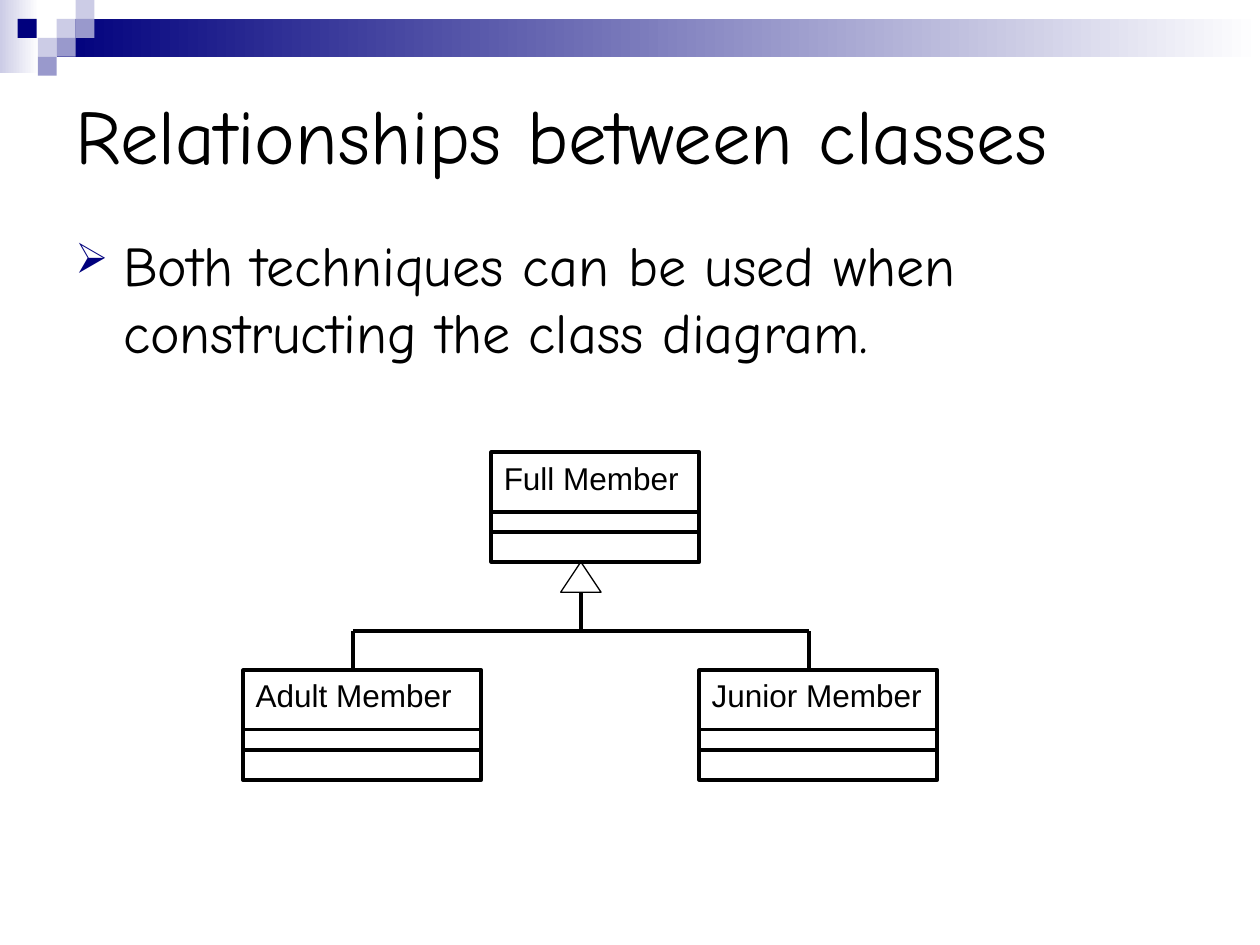
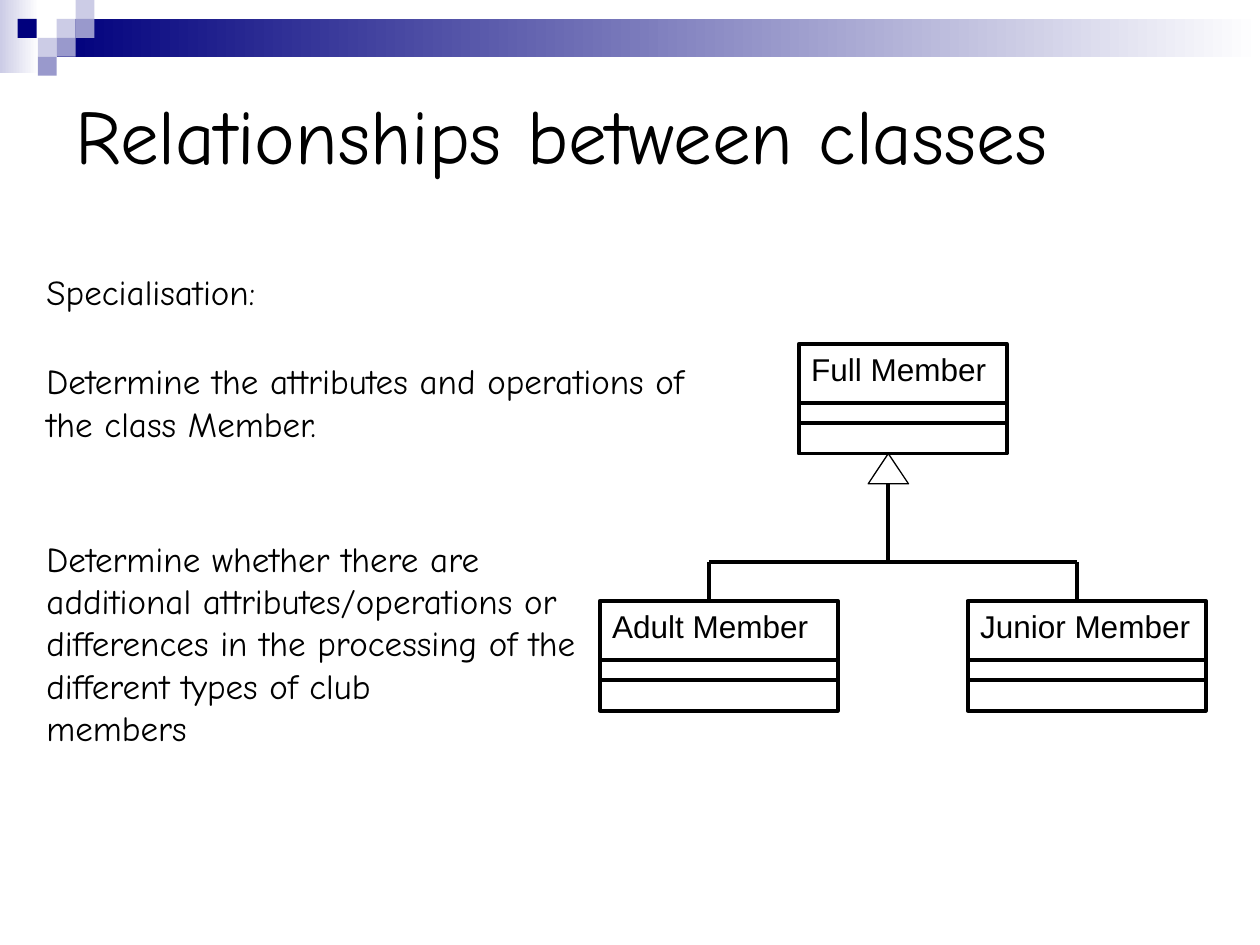
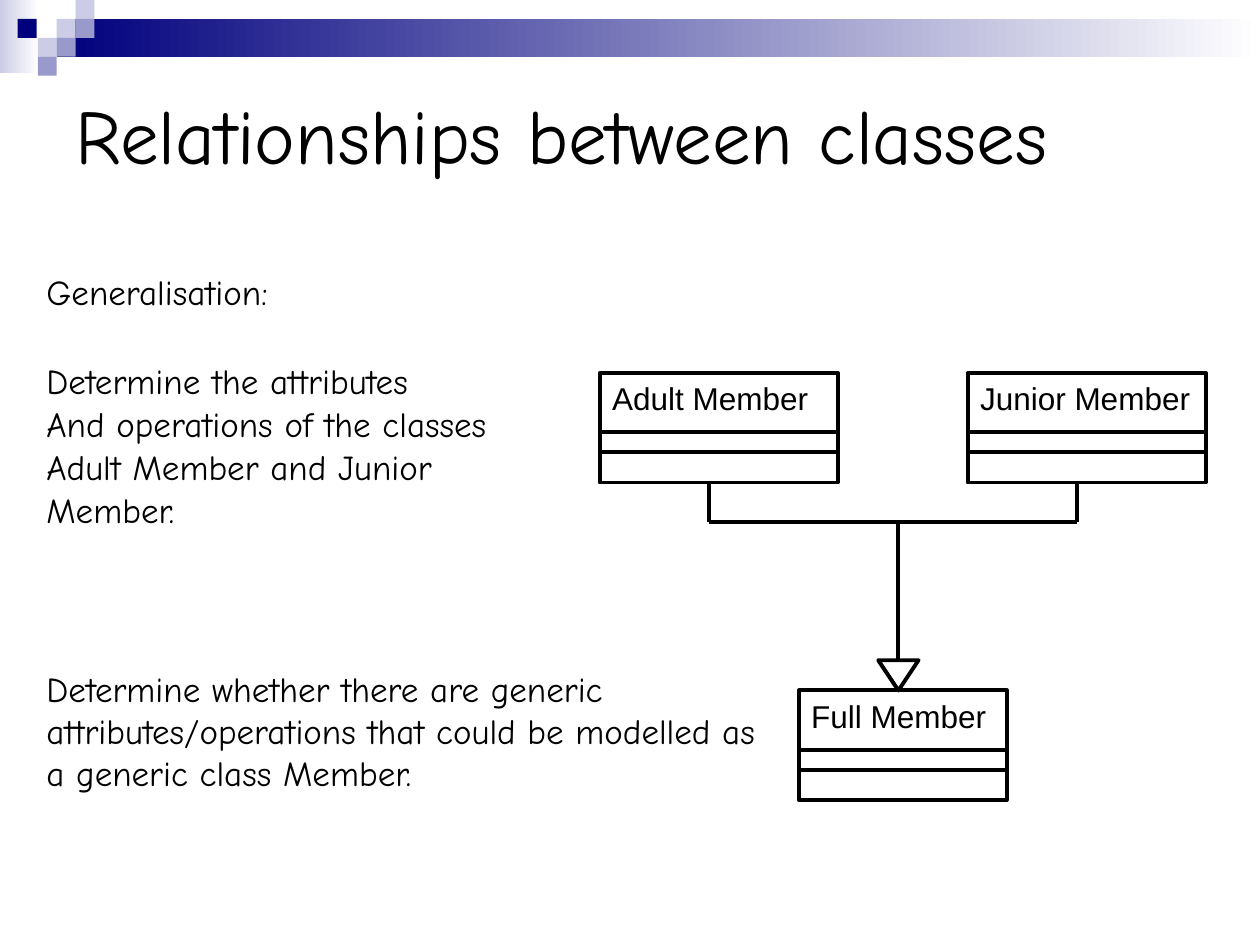
"""Build three slides on specialisation and generalisation between classes."""
from lxml import etree
from pptx import Presentation
from pptx.dml.color import RGBColor
from pptx.enum.shapes import MSO_CONNECTOR, MSO_SHAPE
from pptx.enum.text import MSO_ANCHOR
from pptx.oxml.ns import qn
from pptx.util import Inches, Pt

RECTANGLE = MSO_SHAPE.RECTANGLE
TRIANGLE = MSO_SHAPE.ISOSCELES_TRIANGLE
STRAIGHT = MSO_CONNECTOR.STRAIGHT
MIDDLE = MSO_ANCHOR.MIDDLE
TOP = MSO_ANCHOR.TOP

COLORS = {"ink": "000000", "navy": "00007D", "lilac": "9999CC",
          "pale": "CCCCE6", "white": "FFFFFF"}
HAND_FONT = "Comic Neue"
LABEL_FONT = "Arial"
TITLE = "Relationships between classes"
LINE_WIDTH = 2.24
SQUARE = 0.15
BOX_HEIGHT = 0.87
DIVIDERS = (0.47, 0.63)
STUB_OFFSET = 0.87
PARENT_WIDTH, CHILD_WIDTH = 1.65, 1.89
ARROW_WIDTH, ARROW_HEIGHT = 0.32, 0.24
SECTION_GAP, LINE_GAP = 37, 0.5

GRADIENTS = [(0, 0, 0.31, 0.58, "pale"), (0.45, 0.15, 9.55, 0.3, "navy")]
SQUARES = [(0.45, 0.15, "pale"), (0.6, 0, "pale"), (0.6, 0.15, "lilac"),
           (0.3, 0.3, "pale"), (0.14, 0.15, "navy"), (0.45, 0.3, "lilac"),
           (0.3, 0.45, "lilac")]

SLIDES = [
    {"parent": (3.9, 3.59), "children": (1.93, 5.55), "child_top": 5.32,
     "bus": 5.01, "arrow": 4.61, "arrow_line": 0.74, "notes": []},
    {"parent": (6.34, 2.73), "children": (4.76, 7.68), "child_top": 4.77,
     "bus": 4.46, "arrow": 7.05, "arrow_line": 0.74,
     "notes": [
         (2.1, 6.3, 1.46, ["Specialisation:",
                           "Determine the attributes and operations of",
                           "the class Member."]),
         (4.22, 4.49, 2.28, ["Determine whether there are additional "
                             "attributes/operations or differences in the "
                             "processing of the different types of club",
                             "members"])]},
    {"parent": (6.34, 5.48), "children": (4.76, 7.68), "child_top": 2.96,
     "bus": 4.14, "arrow": 7.13, "arrow_line": LINE_WIDTH,
     "notes": [
         (2.1, 4.1, 2.14, ["Generalisation:", "Determine the attributes",
                           "And operations of the classes",
                           "Adult Member and Junior", "Member."]),
         (5.25, 5.99, 1.1, ["Determine whether there are generic "
                            "attributes/operations that could be modelled as "
                            "a generic class Member."])]},
]


def add_text(slide, left, top, width, height, lines, size, font, anchor=TOP):
    box = slide.shapes.add_textbox(Inches(left), Inches(top), Inches(width), Inches(height))
    frame = box.text_frame
    frame.word_wrap = True
    frame.vertical_anchor = anchor
    frame.text = "\n".join(lines)
    for paragraph in frame.paragraphs:
        for run in paragraph.runs:
            run.font.size = Pt(size)
            run.font.name = font
            run.font.color.rgb = RGBColor.from_string(COLORS["ink"])
    return frame.paragraphs


def add_line(slide, x1, y1, x2, y2):
    line = slide.shapes.add_connector(STRAIGHT, Inches(x1), Inches(y1), Inches(x2), Inches(y2))
    line.line.color.rgb = RGBColor.from_string(COLORS["ink"])
    line.line.width = Pt(LINE_WIDTH)
    etree.SubElement(line._element.spPr, qn("a:effectLst"))


presentation = Presentation()
presentation.slide_width = Inches(10)
presentation.slide_height = Inches(7.5)

for content in SLIDES:
    slide = presentation.slides.add_slide(presentation.slide_layouts[6])

    for left, top, width, height, color in GRADIENTS:
        band = slide.shapes.add_shape(RECTANGLE, Inches(left), Inches(top),
                                      Inches(width), Inches(height))
        band.shadow.inherit = False
        band.line.fill.background()
        band.fill.gradient()
        band.fill.gradient_angle = 0
        for stop, name in zip(band.fill.gradient_stops, (color, "white")):
            stop.color.rgb = RGBColor.from_string(COLORS[name])

    for left, top, color in SQUARES:
        square = slide.shapes.add_shape(RECTANGLE, Inches(left), Inches(top),
                                        Inches(SQUARE), Inches(SQUARE))
        square.shadow.inherit = False
        square.line.fill.background()
        square.fill.solid()
        square.fill.fore_color.rgb = RGBColor.from_string(COLORS[color])

    add_text(slide, 0.5, 0.5, 9, 1.12, [TITLE], 44, HAND_FONT, MIDDLE)

    parent_left, parent_top = content["parent"]
    child_top, bus, arrow = content["child_top"], content["bus"], content["arrow"]
    adult_left, junior_left = content["children"]
    classes = [("Full Member", parent_left, parent_top, PARENT_WIDTH),
               ("Adult Member", adult_left, child_top, CHILD_WIDTH),
               ("Junior Member", junior_left, child_top, CHILD_WIDTH)]
    for name, left, top, width in classes:
        add_text(slide, left, top, width + 0.12, 0.4, [name], 18, LABEL_FONT)
        box = slide.shapes.add_shape(RECTANGLE, Inches(left), Inches(top),
                                     Inches(width), Inches(BOX_HEIGHT))
        box.shadow.inherit = False
        box.fill.background()
        box.line.color.rgb = RGBColor.from_string(COLORS["ink"])
        box.line.width = Pt(LINE_WIDTH)
        for divider in DIVIDERS:
            add_line(slide, left, top + divider, left + width, top + divider)

    parent_above = parent_top < child_top
    child_edge = child_top if parent_above else child_top + BOX_HEIGHT
    stubs = [left + STUB_OFFSET for left in content["children"]]
    for stub in stubs:
        add_line(slide, stub, bus, stub, child_edge)
    add_line(slide, stubs[0], bus, stubs[1], bus)

    arrow_top = parent_top + BOX_HEIGHT if parent_above else parent_top - ARROW_HEIGHT
    arrow_base = arrow_top + ARROW_HEIGHT if parent_above else arrow_top
    triangle = slide.shapes.add_shape(TRIANGLE, Inches(arrow - ARROW_WIDTH / 2),
                                      Inches(arrow_top), Inches(ARROW_WIDTH),
                                      Inches(ARROW_HEIGHT))
    triangle.shadow.inherit = False
    triangle.rotation = 0 if parent_above else 180
    triangle.fill.background()
    triangle.line.color.rgb = RGBColor.from_string(COLORS["ink"])
    triangle.line.width = Pt(content["arrow_line"])
    add_line(slide, arrow, arrow_base, arrow, bus)

    for top, width, height, lines in content["notes"]:
        paragraphs = add_text(slide, 0.27, top, width, height, lines, 20, HAND_FONT)
        if len(lines) > 2:
            for paragraph in paragraphs[1:]:
                paragraph.line_spacing = LINE_GAP
                paragraph.space_before = Pt(12.5)
            paragraphs[1].space_before = Pt(SECTION_GAP)

body = add_text(presentation.slides[0], 0.5, 1.78, 9, 1.34,
                ["Both techniques can be used when constructing the class diagram."],
                32, HAND_FONT)
properties = body[0]._p.get_or_add_pPr()
properties.set("marL", str(Inches(0.38)))
properties.set("indent", str(Inches(-0.38)))
bullet_color = etree.SubElement(properties, qn("a:buClr"))
etree.SubElement(bullet_color, qn("a:srgbClr"), val=COLORS["navy"])
etree.SubElement(properties, qn("a:buSzPct"), val="75000")
etree.SubElement(properties, qn("a:buChar"), char="➢")

presentation.save("out.pptx")
